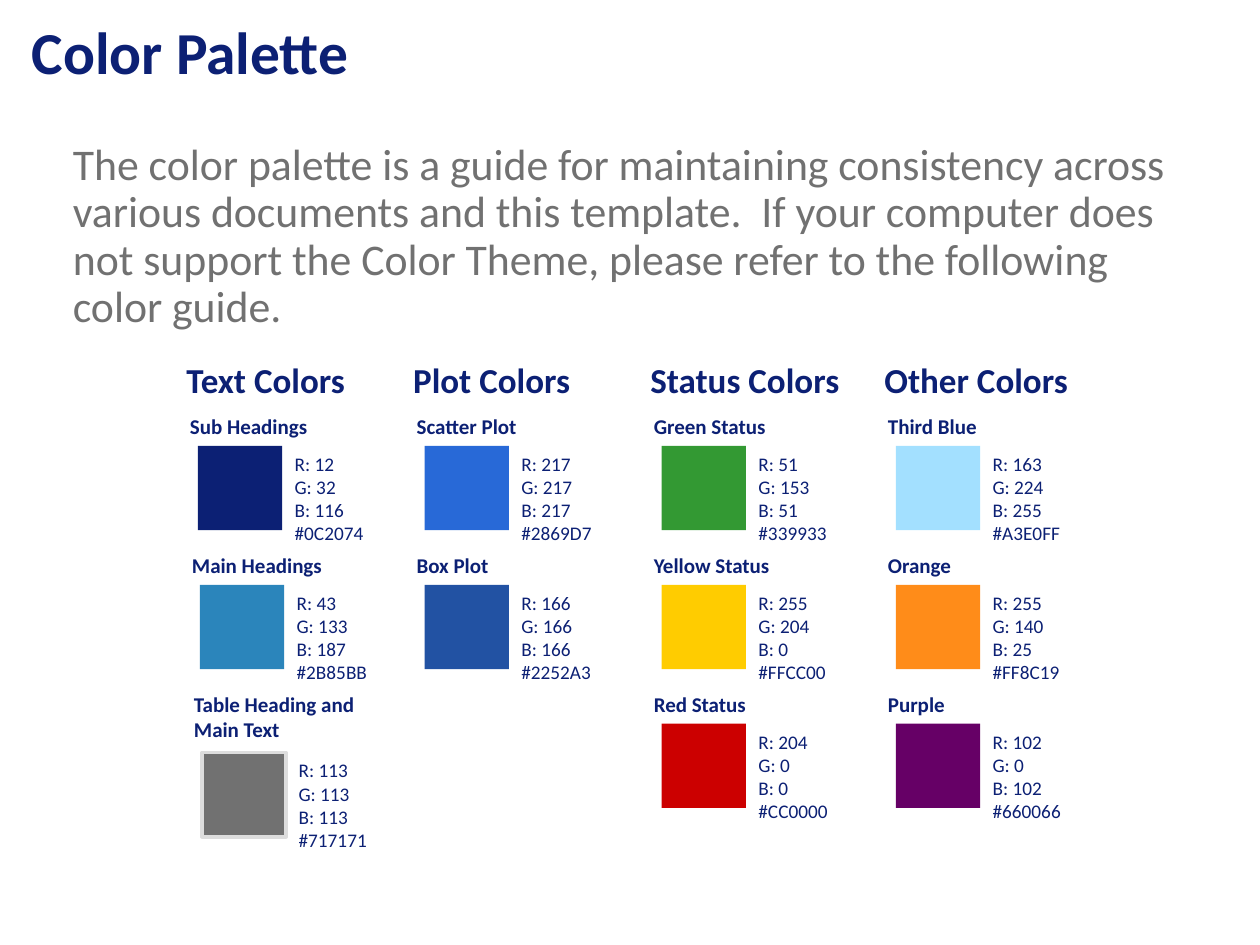
from pptx import Presentation
from pptx.dml.color import RGBColor
from pptx.enum.shapes import MSO_SHAPE
from pptx.util import Cm, Pt

RECT = MSO_SHAPE.RECTANGLE
NAVY = RGBColor(0x0C, 0x20, 0x74)
GRAY = RGBColor(0x71, 0x71, 0x71)
LIGHT = RGBColor(0xDD, 0xDD, 0xDD)
FONT = "Calibri"

# Content
TITLE = "Color Palette"
INTRO = ("The color palette is a guide for maintaining consistency across "
         "various documents and this template.  If your computer does not "
         "support the Color Theme, please refer to the following color guide.")
# heading, left of swatches, shift per row, (label, printed RGB, hex)
PALETTE = [
    ("Text Colors", 3.99, 0.04, [
        ("Sub Headings", (12, 32, 116), "0C2074"),
        ("Main Headings", (43, 133, 187), "2B85BB"),
        ("Table Heading and \nMain Text", (113, 113, 113), "717171")]),
    ("Plot Colors", 8.56, 0, [
        ("Scatter Plot", (217, 217, 217), "2869D7"),
        ("Box Plot", (166, 166, 166), "2252A3")]),
    ("Status Colors", 13.34, 0, [
        ("Green Status", (51, 153, 51), "339933"),
        ("Yellow Status", (255, 204, 0), "FFCC00"),
        ("Red Status", (204, 0, 0), "CC0000")]),
    ("Other Colors", 18.06, 0, [
        ("Third Blue", (163, 224, 255), "A3E0FF"),
        ("Orange", (255, 140, 25), "FF8C19"),
        ("Purple", (102, 0, 102), "660066")]),
]

# Grid, in cm
HEAD_TOP, LABEL_TOP, SWATCH_TOP = 7.11, 8.22, 8.99
ROW_STEP, SWATCH = 2.8, 1.7
TWO_LINE_DROP = 0.58


def add_text(shapes, text, x, y, w, h, size, color=NAVY, bold=False,
             left=0.25, spacing=None):
    tb = shapes.add_textbox(Cm(x), Cm(y), Cm(w), Cm(h))
    tf = tb.text_frame
    tf.word_wrap = True
    tf.margin_left = Cm(left)
    for i, line in enumerate(text.split("\n")):
        p = tf.add_paragraph() if i else tf.paragraphs[0]
        if spacing:
            p.line_spacing = spacing
        r = p.add_run()
        r.text = line
        r.font.name, r.font.size = FONT, Pt(size)
        r.font.bold, r.font.color.rgb = bold, color


def add_swatch(s, x, y, rgb, code, outlined):
    shapes = s.shapes.add_group_shape().shapes
    sp = shapes.add_shape(RECT, Cm(x), Cm(y), Cm(SWATCH), Cm(SWATCH))
    sp.shadow.inherit = False
    sp.fill.solid()
    sp.fill.fore_color.rgb = RGBColor.from_string(code)
    if outlined:
        sp.line.color.rgb, sp.line.width = LIGHT, Pt(2)
    else:
        sp.line.fill.background()
    values = [f"{name}: {v}" for name, v in zip("RGB", rgb)]
    add_text(shapes, "\n".join(values + ["#" + code]),
             x + SWATCH, y, 1.98, 2.13, 11)


prs = Presentation()
prs.slide_width, prs.slide_height = Cm(25.4), Cm(19.05)
s = prs.slides.add_slide(prs.slide_layouts[6])

# Title and introduction
add_text(s.shapes, TITLE, 0.64, 0.28, 22.1, 1.27, 34, bold=True,
         left=0, spacing=0.95)
add_text(s.shapes, INTRO, 1.47, 2.74, 22.45, 3.89, 25, color=GRAY,
         left=0, spacing=Pt(27))

# Palette columns
for heading, col_x, shift, colors in PALETTE:
    add_text(s.shapes, heading, col_x - 0.48, HEAD_TOP, 4.5, 0.9, 20, bold=True)
    for row, (label, rgb, code) in enumerate(colors):
        x = col_x + row * shift
        two_lines = "\n" in label
        drop = TWO_LINE_DROP if two_lines else 0
        add_text(s.shapes, label, x - 0.41, LABEL_TOP + row * ROW_STEP,
                 4.8, 0.9, 12, bold=True)
        add_swatch(s, x, SWATCH_TOP + row * ROW_STEP + drop, rgb, code,
                   outlined=two_lines)

prs.save("out.pptx")
